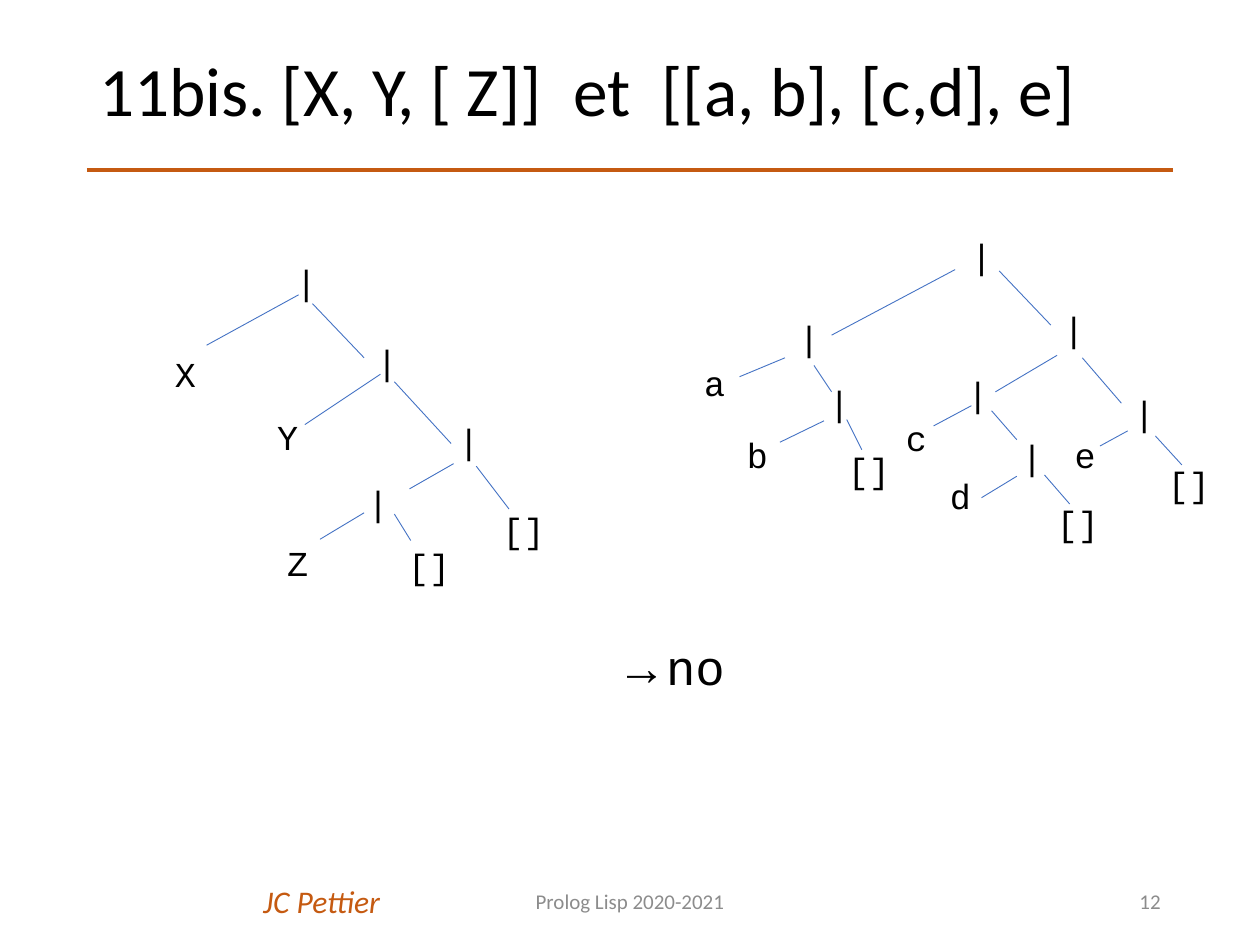
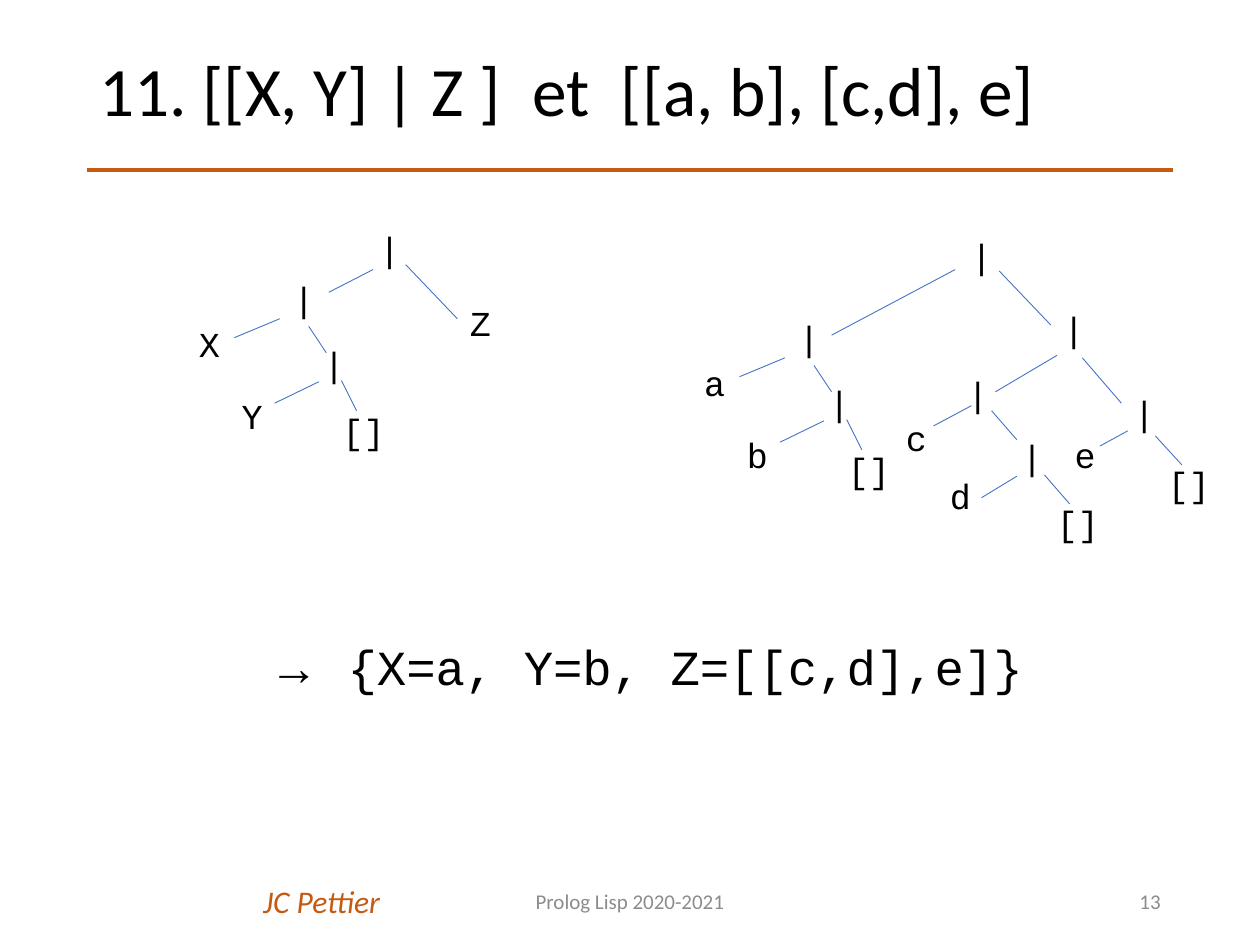
from lxml.etree import SubElement
from pptx import Presentation
from pptx.dml.color import RGBColor
from pptx.enum.shapes import MSO_CONNECTOR
from pptx.enum.text import MSO_ANCHOR, PP_ALIGN
from pptx.oxml.ns import qn
from pptx.util import Emu, Pt

SCALE = 9144
BLACK, GREY, ORANGE, BLUE = "000000", "8C8C8C", "C55A11", "4472C4"
BODY, CODE, SYMBOL = "Calibri", "Courier New", "Arial"


def px(length):
    """Turn px, a hundred to the inch, into EMU."""
    return Emu(length * SCALE)


def colour(value):
    """Turn a hex string into a colour."""
    return RGBColor.from_string(value)


def add_text(para, text, font=BODY, size=20, color=BLACK, italic=False):
    """Add a formatted span to a paragraph."""
    span = para.add_run()
    span.text = text
    span.font.name = font
    span.font.size = Pt(size)
    span.font.italic = italic
    span.font.color.rgb = colour(color)


class Deck:
    """Holds the shared style and the current page."""

    def __init__(self):
        """Start an empty deck of 10 by 7.5 inches."""
        self.deck = Presentation()
        self.deck.slide_width = px(1000)
        self.deck.slide_height = px(750)
        self.page = None

    def box(self, left, top, width, height, align=PP_ALIGN.LEFT, anchor=MSO_ANCHOR.TOP):
        """Add a text box and return its paragraph."""
        box = self.page.shapes.add_textbox(px(left), px(top), px(width), px(height))
        frame = box.text_frame
        frame.word_wrap = True
        frame.vertical_anchor = anchor
        para = frame.paragraphs[0]
        para.alignment = align
        return para

    def line(self, x1, y1, x2, y2, color=BLUE, width=0.5):
        """Add a straight line without shadow."""
        line = self.page.shapes.add_connector(
            MSO_CONNECTOR.STRAIGHT, px(x1), px(y1), px(x2), px(y2))
        line.line.color.rgb = colour(color)
        line.line.width = Pt(width)
        SubElement(line._element.spPr, qn("a:effectLst"))

    def new_page(self, title, number):
        """Add a page with its author, rule, title and footer."""
        self.page = self.deck.slides.add_slide(self.deck.slide_layouts[6])
        add_text(self.box(199, 695, 119, 40), "JC Pettier", size=18, color=ORANGE, italic=True)
        self.line(69, 135, 931, 135, ORANGE, 2.25)
        heading = self.box(69, 40, 862, 69, anchor=MSO_ANCHOR.MIDDLE)
        heading.line_spacing = 0.9
        add_text(heading, title, size=39.6)
        footers = [(331, 338, PP_ALIGN.CENTER, "Prolog Lisp 2020-2021"),
                   (706, 225, PP_ALIGN.RIGHT, str(number))]
        for left, width, align, text in footers:
            para = self.box(left, 695, width, 40, align, MSO_ANCHOR.MIDDLE)
            add_text(para, text, size=12, color=GREY)

    def tree(self, nodes, edges, dx=0, dy=0):
        """Draw the nodes and edges of a tree, moved by dx and dy."""
        for text, left, top in nodes:
            width = 35 if len(text) == 1 else 65
            add_text(self.box(left + dx, top + dy, width, 40), text, font=CODE)
        for x1, y1, x2, y2 in edges:
            self.line(x1 + dx, y1 + dy, x2 + dx, y2 + dy)

    def pair(self, first, second, left, top):
        """Draw the tree of a two-element list with its root at left and top."""
        nodes = [("|", 0, 0), (first, -75, 36), ("|", 24, 52),
                 (second, -41, 93), ("[]", 39, 105)]
        edges = [(-37, 53, -1, 38), (22, 44, 36, 65), (-5, 105, 30, 88), (48, 87, 60, 111)]
        self.tree(nodes, edges, left, top)

    def result(self, left, width, text):
        """Write the outcome of the unification after an arrow."""
        para = self.box(left, 500, width, 57)
        add_text(para, "→", font=SYMBOL, size=28)
        add_text(para, text, font=CODE, size=28)


NESTED_NODES = [
    ("|", 761, 181), ("|", 834, 239), ("|", 758, 291), ("c", 709, 326),
    ("|", 801, 341), ("d", 744, 372), ("[]", 829, 393),
    ("|", 890, 306), ("e", 843, 339), ("[]", 917, 362)]
NESTED_EDGES = [
    (660, 266, 758, 214), (793, 215, 834, 258), (790, 311, 839, 282),
    (741, 338, 771, 322), (787, 326, 807, 349), (779, 395, 807, 378),
    (829, 377, 849, 400), (859, 284, 890, 320), (873, 354, 895, 342),
    (917, 346, 938, 369)]
LIST_NODES = [
    ("|", 225, 202), ("X", 129, 275), ("|", 289, 265), ("Y", 210, 325),
    ("|", 354, 328), ("|", 282, 377), ("Z", 218, 425), ("[]", 314, 427), ("[]", 389, 399)]
LIST_EDGES = [
    (164, 274, 237, 234), (248, 241, 289, 284), (242, 337, 302, 297),
    (313, 303, 358, 352), (325, 388, 360, 368), (254, 428, 289, 407),
    (313, 408, 326, 429), (378, 370, 404, 404)]
HEAD_NODES = [("|", 291, 176), ("Z", 363, 234)]
HEAD_EDGES = [(322, 210, 363, 253), (261, 232, 296, 214)]


def main():
    """Build both unification pages."""
    deck = Deck()
    pages = [
        ("11bis. [X, Y, [ Z]]  et  [[a, b], [c,d], e]", LIST_NODES, LIST_EDGES,
         (480, 417, "no")),
        ("11. [[X, Y] | Z ]  et  [[a, b], [c,d], e]", HEAD_NODES, HEAD_EDGES,
         (204, 694, " {X=a, Y=b, Z=[[c,d],e]}"))]
    for number, (title, nodes, edges, result) in enumerate(pages, start=12):
        deck.new_page(title, number)
        deck.result(*result)
        deck.tree(nodes, edges)
        deck.pair("a", "b", 624, 246)
        deck.tree(NESTED_NODES, NESTED_EDGES)
    deck.pair("X", "Y", 223, 215)
    deck.deck.save("out.pptx")


if __name__ == "__main__":
    main()
